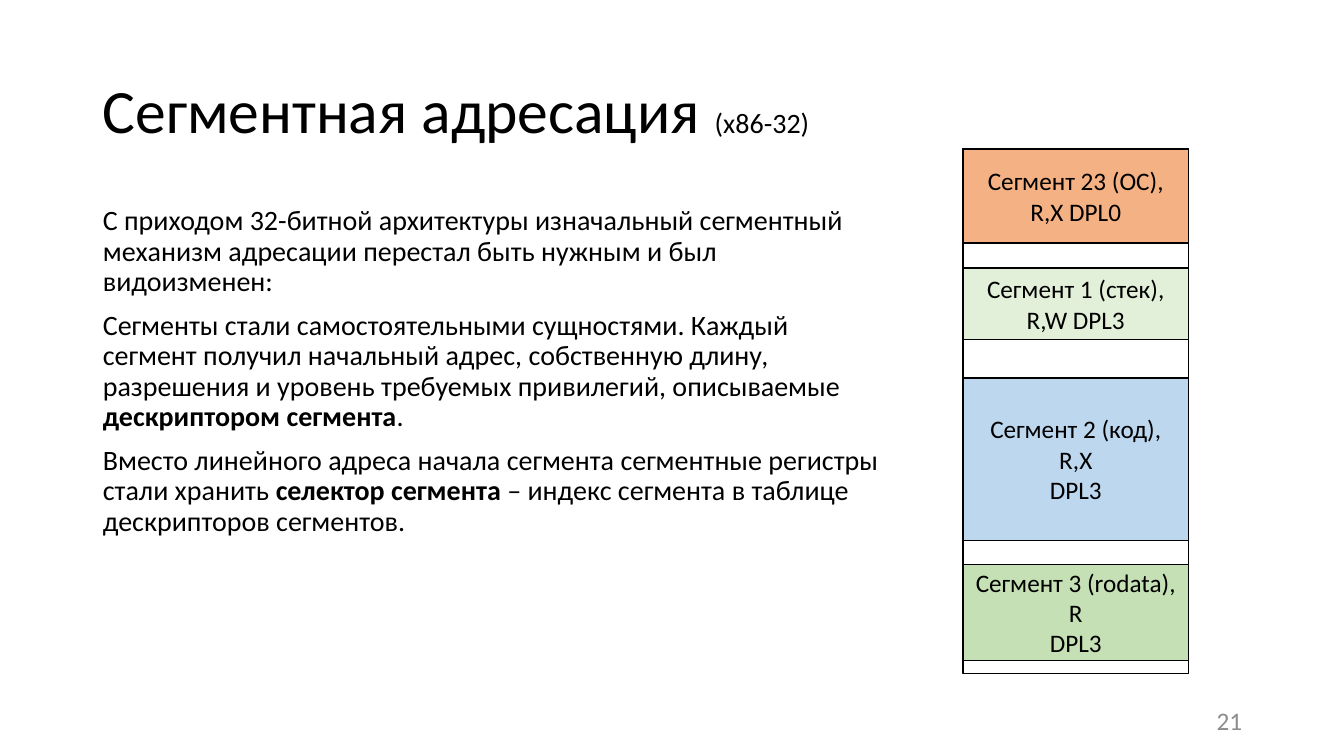
from dataclasses import dataclass

from lxml.etree import SubElement
from pptx import Presentation
from pptx.dml.color import RGBColor
from pptx.enum.shapes import MSO_SHAPE
from pptx.enum.text import MSO_ANCHOR, MSO_AUTO_SIZE, PP_ALIGN
from pptx.oxml.ns import qn
from pptx.slide import Slide
from pptx.text.text import TextFrame
from pptx.util import Inches, Pt

FONT = "Calibri"
COLORS = {
    "text": "000000",
    "number": "8C8C8C",
    "memory": "FFFFFF",
    "stack": "E2F0D9",
    "code": "BDD7EE",
    "rodata": "C5E0B4",
    "os": "F4B183",
}
COLUMN_LEFT, COLUMN_WIDTH = 9.55, 2.24


@dataclass
class Run:
    text: str
    bold: bool = False
    size: float | None = None


@dataclass
class Segment:
    color: str
    top: float
    height: float
    lines: tuple[str, ...] = ()


BODY = [
    [Run("С приходом 32-битной архитектуры изначальный сегментный механизм "
         "адресации перестал быть нужным и был видоизменен:")],
    [Run("Сегменты стали самостоятельными сущностями. Каждый сегмент получил "
         "начальный адрес, собственную длину, разрешения и уровень требуемых "
         "привилегий, описываемые "),
     Run("дескриптором сегмента", bold=True), Run(".")],
    [Run("Вместо линейного адреса начала сегмента сегментные регистры стали хранить "),
     Run("селектор сегмента", bold=True),
     Run(" – индекс сегмента в таблице дескрипторов сегментов.")],
]

SEGMENTS = [
    Segment("memory", 1.48, 5.2),
    Segment("stack", 2.66, 0.71, ("Сегмент 1 (стек),", "R,W DPL3")),
    Segment("code", 3.75, 1.61, ("Сегмент 2 (код),", "R,X", "DPL3")),
    Segment("rodata", 5.6, 0.95, ("Сегмент 3 (rodata),", "R", "DPL3")),
    Segment("os", 1.48, 0.93, ("Сегмент 23 (ОС),", "R,X DPL0")),
]


def rgb(name: str) -> RGBColor:
    """Return the named colour."""
    return RGBColor.from_string(COLORS[name])


def write(tf: TextFrame, paragraphs: list[list[Run]], *, size: float,
          color: str = "text", align: PP_ALIGN = PP_ALIGN.LEFT,
          anchor: MSO_ANCHOR = MSO_ANCHOR.MIDDLE, line_spacing: float = 1.0,
          space_before: float = 0, plain_list: bool = False) -> None:
    """Fill a text frame with formatted paragraphs."""
    tf.word_wrap = True
    tf.auto_size = MSO_AUTO_SIZE.NONE
    tf.vertical_anchor = anchor
    for i, runs in enumerate(paragraphs):
        p = tf.add_paragraph() if i else tf.paragraphs[0]
        if plain_list:
            pPr = p._p.get_or_add_pPr()
            pPr.set("marL", "0")
            pPr.set("indent", "0")
            SubElement(pPr, qn("a:buNone"))
        p.alignment = align
        p.line_spacing = line_spacing
        p.space_before = Pt(space_before if i else 0)
        for run in runs:
            r = p.add_run()
            r.text = run.text
            r.font.name = FONT
            r.font.size = Pt(run.size or size)
            r.font.bold = run.bold
            r.font.color.rgb = rgb(color)


def place(sp, left: float, top: float, width: float, height: float) -> None:
    """Move and size a placeholder."""
    sp.left, sp.top = Inches(left), Inches(top)
    sp.width, sp.height = Inches(width), Inches(height)


def add_segment(s: Slide, segment: Segment) -> None:
    """Draw one block of the memory column."""
    sp = s.shapes.add_shape(MSO_SHAPE.RECTANGLE, Inches(COLUMN_LEFT), Inches(segment.top),
                            Inches(COLUMN_WIDTH), Inches(segment.height))
    sp.shadow.inherit = False
    sp.fill.solid()
    sp.fill.fore_color.rgb = rgb(segment.color)
    sp.line.color.rgb = rgb("text")
    sp.line.width = Pt(1)
    if segment.lines:
        write(sp.text_frame, [[Run(line)] for line in segment.lines],
              size=18, align=PP_ALIGN.CENTER)


def main() -> None:
    """Build and save the slide."""
    prs = Presentation()
    prs.slide_width, prs.slide_height = Inches(13.33), Inches(7.5)
    s = prs.slides.add_slide(prs.slide_layouts[1])

    title, body = s.placeholders
    place(title, 0.92, 0.4, 11.5, 1.45)
    write(title.text_frame, [[Run("Сегментная адресация "), Run("(х86-32)", size=20)]],
          size=44, line_spacing=0.9)
    place(body, 0.92, 2, 7.94, 4.76)
    write(body.text_frame, BODY, size=20, anchor=MSO_ANCHOR.TOP, line_spacing=0.9,
          space_before=10, plain_list=True)

    number = s.shapes.add_textbox(Inches(9.42), Inches(6.95), Inches(3), Inches(0.4))
    write(number.text_frame, [[Run("21")]], size=18, color="number", align=PP_ALIGN.RIGHT)

    for segment in SEGMENTS:
        add_segment(s, segment)
    prs.save("out.pptx")


if __name__ == "__main__":
    main()
